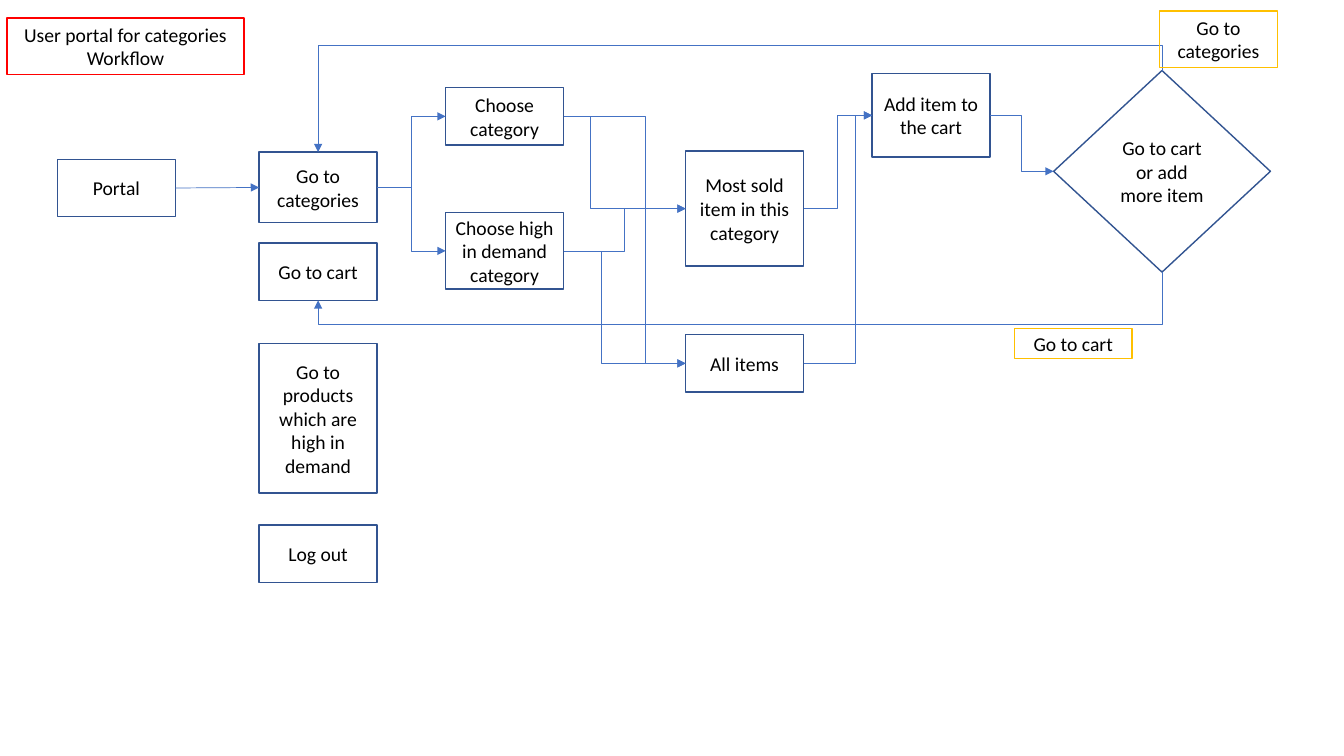
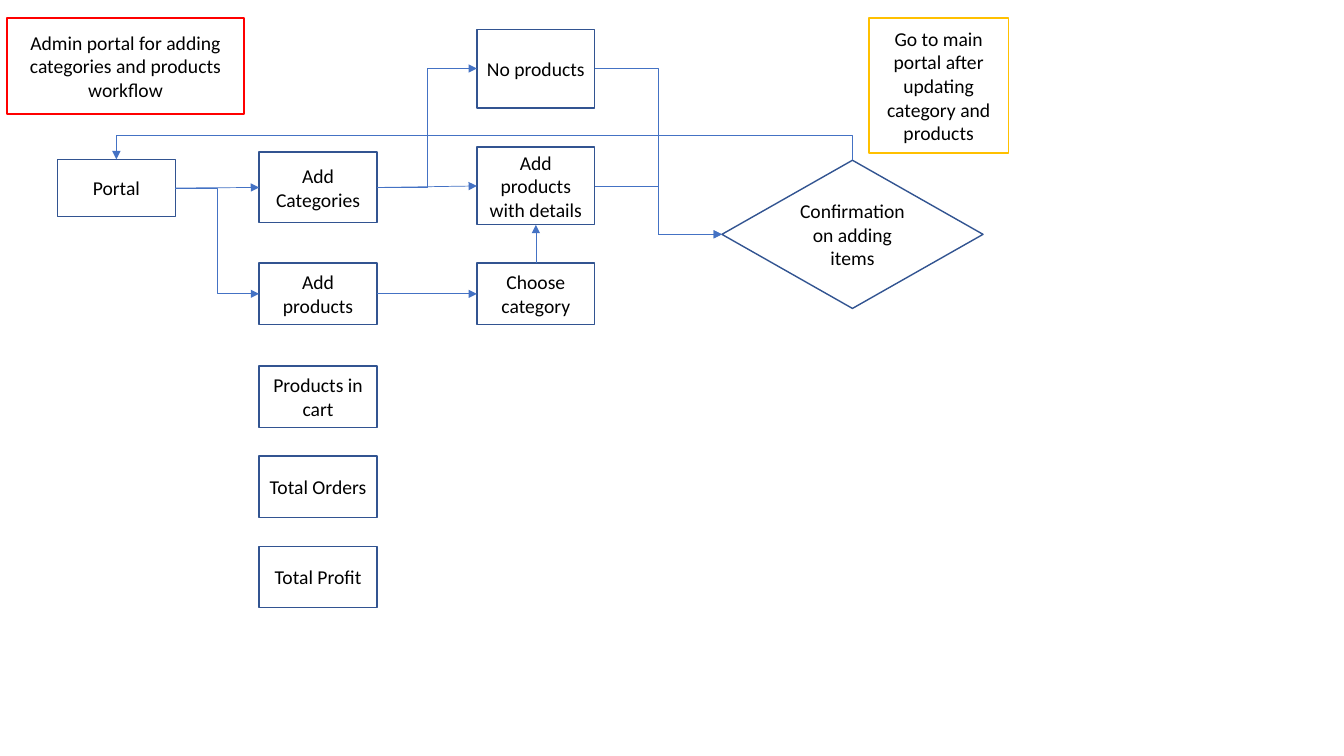
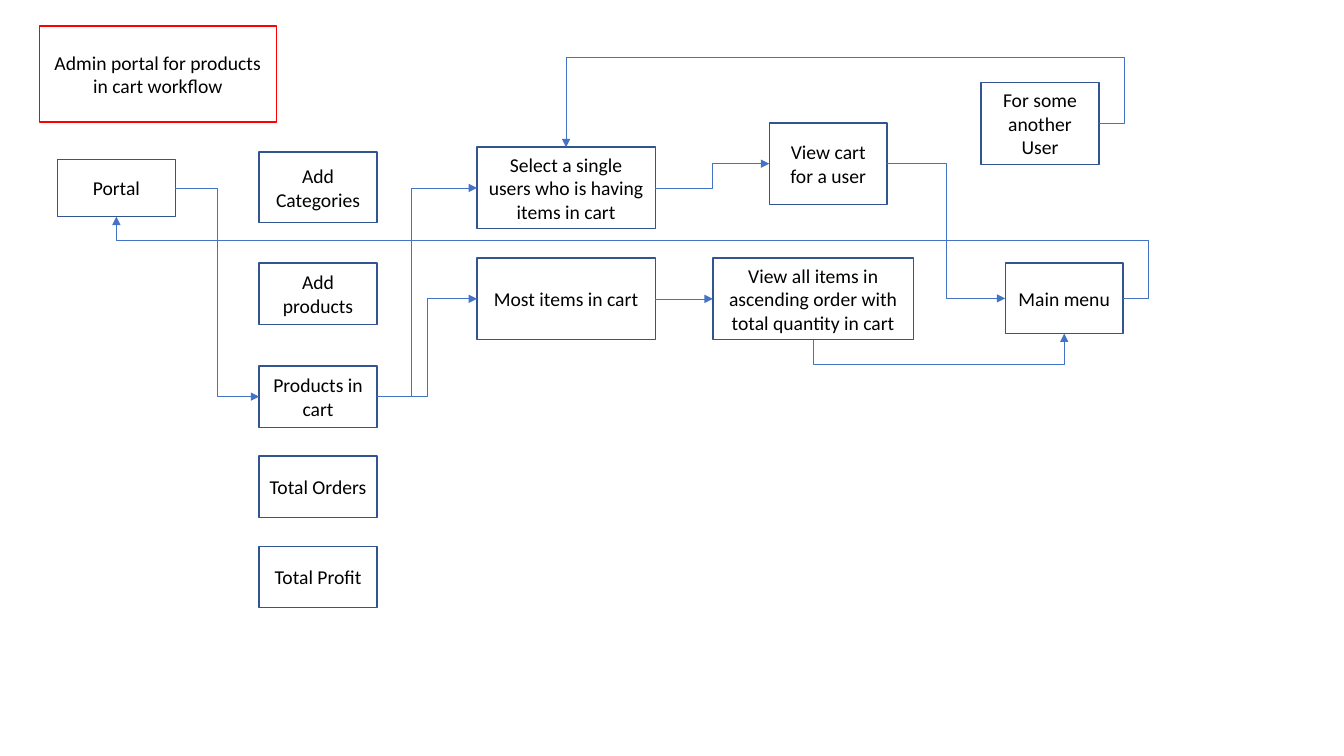
from dataclasses import dataclass

from lxml.etree import SubElement
from pptx import Presentation
from pptx.dml.color import RGBColor
from pptx.enum.shapes import MSO_CONNECTOR, MSO_SHAPE
from pptx.enum.text import MSO_ANCHOR, PP_ALIGN
from pptx.oxml.ns import qn
from pptx.util import Inches, Pt


@dataclass(frozen=True)
class Theme:
    """Colours, type and line weights shared by all slides."""
    title: str = "FF0000"
    step: str = "325491"
    note: str = "FFC000"
    arrow: str = "4472C4"
    text: str = "000000"
    font: str = "Calibri"
    size: float = 14
    outline: float = 1
    arrow_width: float = 0.5


THEME = Theme()
SLIDE_SIZE = (13.33, 7.5)
SITES = {"top": 0, "left": 1, "bottom": 2, "right": 3}

# Grid in inches: a column is (left, width), a row is (top, height).
PORTAL, MENU = (0.57, 1.17), (2.57, 1.17)
CHOICE, RESULT, CART = (4.42, 1.17), (6.8, 1.17), (8.65, 1.17)
DETAIL, WIDE = (4.73, 1.17), (4.73, 1.77)
PORTAL_ROW, FIRST_ROW, SECOND_ROW = (1.58, 0.57), (1.51, 0.7), (2.61, 0.61)
TOTAL_ROWS = [(3.63 + 0.895 * row, 0.61) for row in range(3)]
SELECT_ROW, MOST_ROW = (1.46, 0.81), (2.56, 0.81)

ADMIN_MENU = [
    ("Portal", PORTAL, PORTAL_ROW),
    ("Add Categories", MENU, FIRST_ROW),
    ("Add products", MENU, SECOND_ROW),
    ("Products in cart", MENU, TOTAL_ROWS[0]),
    ("Total Orders", MENU, TOTAL_ROWS[1]),
    ("Total Profit", MENU, TOTAL_ROWS[2]),
]
SELECT_USER = "Select a single users who is having items in cart"
VIEW_ALL = "View all items in ascending order with total quantity in cart"

# Links: (start, end, sides, bends); no bends means halfway between the ends.
ACROSS, OVER, UNDER = ("right", "left"), ("top", "top"), ("bottom", "bottom")
WORKFLOWS = [
    {
        "title": ("User portal for categories\nWorkflow", (0.07, 2.35), (0.18, 0.56)),
        "steps": [
            ("Portal", PORTAL, PORTAL_ROW),
            ("Go to categories", MENU, FIRST_ROW),
            ("Go to cart", MENU, (2.41, 0.57)),
            ("Go to products which are high in demand", MENU, (3.41, 1.48)),
            ("Log out", MENU, (5.21, 0.57)),
            ("Choose category", CHOICE, (0.87, 0.57)),
            ("Choose high in demand category", CHOICE, (2.11, 0.76)),
            ("Most sold item in this category", RESULT, (1.5, 1.14)),
            ("All items", RESULT, (3.32, 0.57)),
            ("Add item to the cart", CART, (0.73, 0.83)),
        ],
        "decision": ("Go to cart or add more item", (10.45, 2.15), (0.7, 2)),
        "notes": [
            ("Go to categories", (11.5, 1.17), (0.11, 0.56)),
            ("Go to cart", (10.06, 1.17), (3.26, 0.3)),
        ],
        "links": [
            ("Portal", "Go to categories", ACROSS, None),
            ("Go to categories", "Choose category", ACROSS, []),
            ("Go to categories", "Choose high in demand category", ACROSS, []),
            ("Choose category", "Most sold item in this category", ACROSS, [5.86]),
            ("Choose category", "All items", ACROSS, [6.4]),
            ("Choose high in demand category", "Most sold item in this category", ACROSS, []),
            ("Choose high in demand category", "All items", ACROSS, [5.96]),
            ("Most sold item in this category", "Add item to the cart", ACROSS, []),
            ("All items", "Add item to the cart", ACROSS, [8.48]),
            ("Add item to the cart", "Go to cart or add more item", ACROSS, []),
            ("Go to cart or add more item", "Go to categories", OVER, [0.45]),
            ("Go to cart or add more item", "Go to cart", UNDER, [3.22]),
        ],
    },
    {
        "title": ("Admin portal for adding categories and products\nworkflow",
                  (0.07, 2.35), (0.18, 0.95)),
        "steps": ADMIN_MENU + [
            ("No products", DETAIL, (0.29, 0.78)),
            ("Add products with details", DETAIL, (1.46, 0.77)),
            ("Choose category", DETAIL, SECOND_ROW),
        ],
        "decision": ("Confirmation on adding items", (7.16, 2.59), (1.59, 1.47)),
        "notes": [("Go to main portal after updating category and products",
                   (8.62, 1.38), (0.18, 1.34))],
        "links": [
            ("Portal", "Add Categories", ACROSS, None),
            ("Portal", "Add products", ACROSS, []),
            ("Add Categories", "Add products with details", ACROSS, None),
            ("Add Categories", "No products", ACROSS, []),
            ("Add products", "Choose category", ACROSS, None),
            ("Choose category", "Add products with details", ("top", "bottom"), None),
            ("Add products with details", "Confirmation on adding items", ACROSS, []),
            ("No products", "Confirmation on adding items", ACROSS, []),
            ("Confirmation on adding items", "Portal", OVER, [1.34]),
        ],
    },
    {
        "title": ("Admin portal for products in cart workflow", (0.39, 2.35), (0.26, 0.95)),
        "steps": ADMIN_MENU + [
            (SELECT_USER, WIDE, SELECT_ROW),
            ("Most items in cart", WIDE, MOST_ROW),
            ("View cart for a user", (7.63, 1.17), (1.22, 0.81)),
            (VIEW_ALL, (7.07, 1.99), MOST_ROW),
            ("Main menu", (9.97, 1.17), (2.61, 0.7)),
            ("For some another User", (9.73, 1.17), (0.82, 0.81)),
        ],
        "decision": None,
        "notes": [],
        "links": [
            ("Portal", "Products in cart", ACROSS, []),
            ("Products in cart", SELECT_USER, ACROSS, [4.08]),
            ("Products in cart", "Most items in cart", ACROSS, []),
            (SELECT_USER, "View cart for a user", ACROSS, []),
            ("Most items in cart", VIEW_ALL, ACROSS, None),
            ("View cart for a user", "Main menu", ACROSS, []),
            (VIEW_ALL, "Main menu", UNDER, [3.62]),
            ("For some another User", SELECT_USER, ("right", "top"), [11.15, 0.57]),
            ("Main menu", "Portal", ("right", "bottom"), [11.39, 2.38]),
        ],
    },
]


def set_values(target, values):
    """Set every attribute named in a dict of format values."""
    for name, value in values.items():
        setattr(target, name, value)


def add_box(slide, content, colour, kind=MSO_SHAPE.RECTANGLE):
    """Draw an outlined, unfilled shape with centred text."""
    text, (left, width), (top, height) = content
    shape = slide.shapes.add_shape(kind, *map(Inches, (left, top, width, height)))
    shape.shadow.inherit = False
    shape.fill.background()
    shape.line.color.rgb = RGBColor.from_string(colour)
    shape.line.width = Pt(THEME.outline)
    frame = shape.text_frame
    set_values(frame, {"text": text, "word_wrap": True,
                       "vertical_anchor": MSO_ANCHOR.MIDDLE})
    for paragraph in frame.paragraphs:
        paragraph.alignment = PP_ALIGN.CENTER
        set_values(paragraph.font, {"name": THEME.font, "size": Pt(THEME.size)})
        paragraph.font.color.rgb = RGBColor.from_string(THEME.text)
    return shape


def turn_upright(connector):
    """Rotate an elbow a quarter turn so that it leaves its start vertically."""
    run = connector.end_x - connector.begin_x
    rise = connector.end_y - connector.begin_y
    centre_x = (connector.begin_x + connector.end_x) // 2
    centre_y = (connector.begin_y + connector.end_y) // 2
    width, height = abs(rise), abs(run)
    set_values(connector, {"left": centre_x - width // 2, "top": centre_y - height // 2,
                           "width": width, "height": height})
    frame = connector.element.spPr.find(qn("a:xfrm"))
    for name, value in {"rot": 90 * 60000, "flipH": int(rise < 0),
                        "flipV": int(run > 0)}.items():
        frame.set(name, str(value))


def bend_elbow(connector, bends, upright):
    """Place the bends, given as positions on the slide, as shares of the elbow."""
    spans = [(connector.begin_x, connector.end_x), (connector.begin_y, connector.end_y)]
    if upright:
        spans.reverse()
        turn_upright(connector)
    geometry = connector.element.spPr.find(qn("a:prstGeom"))
    geometry.set("prst", f"bentConnector{max(len(bends), 1) + 2}")
    guides = geometry.find(qn("a:avLst"))
    if guides is None:
        guides = SubElement(geometry, qn("a:avLst"))
    for number, (bend, (begin, end)) in enumerate(zip(bends, spans), 1):
        share = round((Inches(bend) - begin) / (end - begin) * 100000)
        SubElement(guides, qn("a:gd"), name=f"adj{number}", fmla=f"val {share}")


def add_link(slide, start, end, sides, bends):
    """Glue an arrow between two shapes, straight when bends is None."""
    kind = MSO_CONNECTOR.STRAIGHT if bends is None else MSO_CONNECTOR.ELBOW
    connector = slide.shapes.add_connector(kind, 0, 0, 0, 0)
    connector.begin_connect(start, SITES[sides[0]])
    connector.end_connect(end, SITES[sides[1]])
    if bends is not None:
        bend_elbow(connector, bends, sides[0] in ("top", "bottom"))
    connector.line.color.rgb = RGBColor.from_string(THEME.arrow)
    connector.line.width = Pt(THEME.arrow_width)
    properties = connector.element.spPr
    SubElement(properties.find(qn("a:ln")), qn("a:tailEnd"), type="triangle")
    SubElement(properties, qn("a:effectLst"))


def add_workflow(presentation, workflow):
    """Add one slide with its title, steps, links and notes."""
    slide = presentation.slides.add_slide(presentation.slide_layouts[6])
    add_box(slide, workflow["title"], THEME.title)
    steps = {step[0]: add_box(slide, step, THEME.step) for step in workflow["steps"]}
    decision = workflow["decision"]
    if decision:
        steps[decision[0]] = add_box(slide, decision, THEME.step, MSO_SHAPE.DIAMOND)
    for start, end, sides, bends in workflow["links"]:
        add_link(slide, steps[start], steps[end], sides, bends)
    for note in workflow["notes"]:
        add_box(slide, note, THEME.note)


presentation = Presentation()
presentation.slide_width, presentation.slide_height = map(Inches, SLIDE_SIZE)
for workflow in WORKFLOWS:
    add_workflow(presentation, workflow)
presentation.save("out.pptx")
